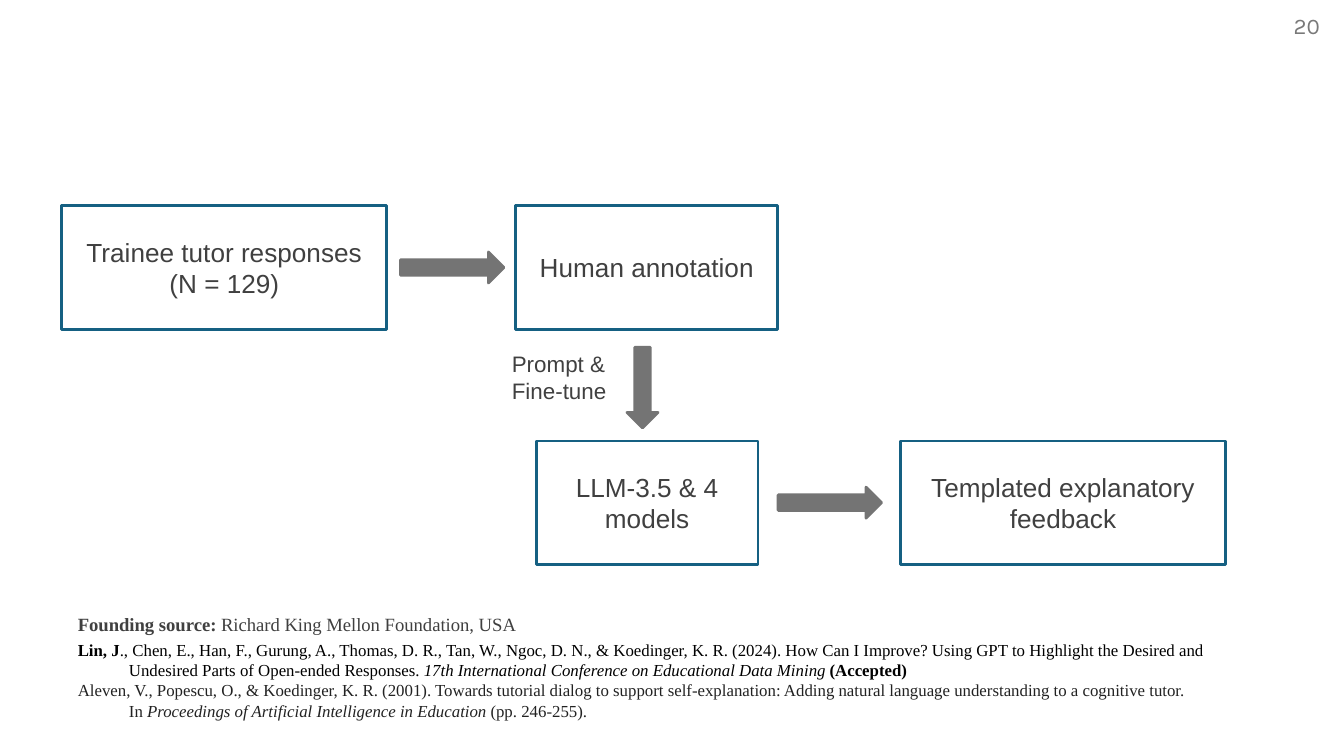
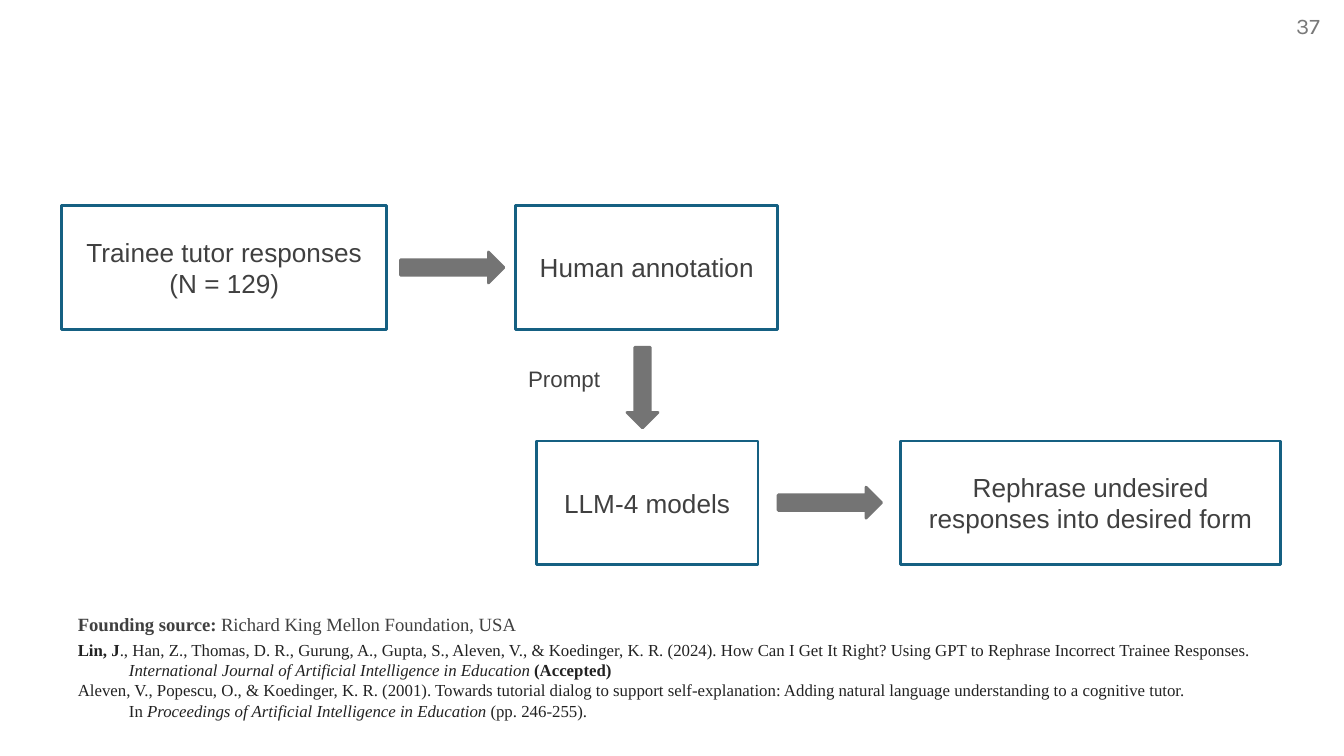
from dataclasses import dataclass
from typing import Any, Optional

import pptx
import pptx.dml.color
import pptx.enum.shapes
import pptx.enum.text
import pptx.util

Pt = pptx.util.Pt
RGBColor = pptx.dml.color.RGBColor
MSO_SHAPE = pptx.enum.shapes.MSO_SHAPE
MSO_ANCHOR = pptx.enum.text.MSO_ANCHOR
MSO_AUTO_SIZE = pptx.enum.text.MSO_AUTO_SIZE
PP_ALIGN = pptx.enum.text.PP_ALIGN

WHITE = RGBColor(0xFF, 0xFF, 0xFF)
BLACK = RGBColor(0x00, 0x00, 0x00)
INK = RGBColor(0x22, 0x22, 0x22)
DARK_GREY = RGBColor(0x40, 0x40, 0x40)
ARROW_GREY = RGBColor(0x74, 0x74, 0x74)
NUMBER_GREY = RGBColor(0x79, 0x79, 0x79)
BORDER_BLUE = RGBColor(0x15, 0x60, 0x82)

SANS = "Arial"
SERIF = "Times New Roman"
NUMBER_FONT = "Karla"
NO_BREAK_SPACE = chr(160)

TOP_ROW = 110.2
BOTTOM_ROW = 236.2
BOX_HEIGHT = 66.2
ARROW_HEIGHT = 16.6
LINE_WIDTH = 1.5
FOOTER_LEFT = 34.6


@dataclass(frozen=True)
class Run:
    text: str
    bold: bool = False
    italic: bool = False
    color: Optional[RGBColor] = None


Lines = list[list[Run]]


@dataclass(frozen=True)
class Area:
    left: float
    top: float
    width: float
    height: float

    def lengths(self) -> tuple[Any, ...]:
        return Pt(self.left), Pt(self.top), Pt(self.width), Pt(self.height)


@dataclass(frozen=True)
class Box:
    lines: list[str]
    left: float
    row: float
    width: float


@dataclass(frozen=True)
class Arrow:
    left: float
    middle: float
    width: float
    rotation: float = 0


@dataclass(frozen=True)
class FlowSlide:
    number: int
    step: list[str]
    step_area: Area
    model: str
    result: str
    result_width: float
    paper: list[Run]


ARROWS = [
    Arrow(214.6, TOP_ROW + BOX_HEIGHT / 2, 55.4),
    Arrow(322.6, 207.7, 43.2, rotation=90),
    Arrow(416.9, BOTTOM_ROW + BOX_HEIGHT / 2, 55.4),
]

FUNDING = [
    Run("Founding source: ", bold=True),
    Run("Richard King Mellon Foundation, USA"),
]

TUTORIAL_DIALOG_PAPER = [
    Run(
        "Aleven, V., Popescu, O., & Koedinger, K. R. (2001). Towards tutorial dialog to "
        "support self-explanation: Adding natural language understanding to a cognitive "
        f"tutor. In{NO_BREAK_SPACE}"
    ),
    Run("Proceedings of Artificial Intelligence in Education", italic=True),
    Run(f"{NO_BREAK_SPACE}(pp. 246-255)."),
]

SLIDES = [
    FlowSlide(
        number=20,
        step=["Prompt &", "Fine-tune"],
        step_area=Area(267.1, 184.3, 68.4, 36),
        model="LLM-3.5 & 4 models",
        result="Templated explanatory feedback",
        result_width=174.2,
        paper=[
            Run("Lin, J", bold=True, color=BLACK),
            Run(
                "., Chen, E., Han, F., Gurung, A., Thomas, D. R., Tan, W., Ngoc, D. N., & "
                "Koedinger, K. R. (2024). How Can I Improve? Using GPT to Highlight the "
                "Desired and Undesired Parts of Open-ended Responses. ",
                color=BLACK,
            ),
            Run(
                "17th International Conference on Educational Data Mining ",
                italic=True,
                color=BLACK,
            ),
            Run("(Accepted)", bold=True, color=BLACK),
        ],
    ),
    FlowSlide(
        number=37,
        step=["Prompt"],
        step_area=Area(275.8, 192.2, 53.3, 21.6),
        model="LLM-4 models",
        result="Rephrase undesired responses into desired form",
        result_width=203.8,
        paper=[
            Run("Lin, J", bold=True),
            Run(
                "., Han, Z., Thomas, D. R., Gurung, A., Gupta, S., Aleven, V., & "
                "Koedinger, K. R. (2024). How Can I Get It Right? Using GPT to Rephrase "
                "Incorrect Trainee Responses. "
            ),
            Run(
                "International Journal of Artificial Intelligence in Education ",
                italic=True,
            ),
            Run("(Accepted)", bold=True),
        ],
    ),
]


def plain(lines: list[str]) -> Lines:
    return [[Run(line)] for line in lines]


def write_text(
    shape: Any,
    lines: Lines,
    *,
    size: float,
    font: str = SANS,
    color: RGBColor = DARK_GREY,
    align: Any = PP_ALIGN.LEFT,
    anchor: Any = MSO_ANCHOR.TOP,
    wrap: bool = True,
    grow: bool = False,
    line_spacing: Optional[float] = None,
    margin: float = 0,
    indent: float = 0,
) -> None:
    """Fill a shape with one paragraph per line; a run's own colour wins over color."""
    frame = shape.text_frame
    frame.word_wrap = wrap
    frame.vertical_anchor = anchor
    frame.auto_size = MSO_AUTO_SIZE.SHAPE_TO_FIT_TEXT if grow else MSO_AUTO_SIZE.NONE
    for index, line in enumerate(lines):
        paragraph = frame.add_paragraph() if index else frame.paragraphs[0]
        paragraph.alignment = align
        if line_spacing:
            paragraph.line_spacing = line_spacing
        if margin:
            properties = paragraph._p.get_or_add_pPr()
            properties.set("marL", str(Pt(margin)))
            properties.set("indent", str(Pt(indent)))
        for part in line:
            run = paragraph.add_run()
            run.text = part.text
            run.font.name = font
            run.font.size = Pt(size)
            run.font.bold = part.bold
            run.font.italic = part.italic
            run.font.color.rgb = part.color or color


def add_text(slide: Any, area: Area, lines: Lines, **text_format: Any) -> None:
    write_text(slide.shapes.add_textbox(*area.lengths()), lines, **text_format)


def add_outlined_shape(
    slide: Any, kind: Any, area: Area, fill: RGBColor, line: RGBColor
) -> Any:
    shape = slide.shapes.add_shape(kind, *area.lengths())
    shape.shadow.inherit = False
    shape.fill.solid()
    shape.fill.fore_color.rgb = fill
    shape.line.color.rgb = line
    shape.line.width = Pt(LINE_WIDTH)
    return shape


def add_box(slide: Any, box: Box) -> None:
    area = Area(box.left, box.row, box.width, BOX_HEIGHT)
    shape = add_outlined_shape(slide, MSO_SHAPE.RECTANGLE, area, WHITE, BORDER_BLUE)
    write_text(
        shape,
        plain(box.lines),
        size=14,
        align=PP_ALIGN.CENTER,
        anchor=MSO_ANCHOR.MIDDLE,
    )


def add_arrow(slide: Any, arrow: Arrow) -> None:
    area = Area(arrow.left, arrow.middle - ARROW_HEIGHT / 2, arrow.width, ARROW_HEIGHT)
    shape = add_outlined_shape(
        slide, MSO_SHAPE.RIGHT_ARROW, area, ARROW_GREY, ARROW_GREY
    )
    shape.rotation = arrow.rotation


def add_footer(slide: Any, paper: list[Run]) -> None:
    add_text(
        slide,
        Area(FOOTER_LEFT, 339.1, 643, 51.1),
        [paper, TUTORIAL_DIALOG_PAPER],
        size=9,
        font=SERIF,
        color=INK,
        grow=True,
        margin=27.4,
        indent=-36,
    )
    add_text(
        slide,
        Area(FOOTER_LEFT, 319, 360, 23),
        [FUNDING],
        size=10,
        font=SERIF,
        grow=True,
        line_spacing=1.5,
    )


def add_flow_slide(presentation: Any, content: FlowSlide) -> None:
    slide = presentation.slides.add_slide(presentation.slide_layouts[6])
    slide.background.fill.solid()
    slide.background.fill.fore_color.rgb = WHITE
    add_text(
        slide,
        Area(552.2, 2.9, 162, 21.6),
        plain([str(content.number)]),
        size=12,
        font=NUMBER_FONT,
        color=NUMBER_GREY,
        align=PP_ALIGN.RIGHT,
        anchor=MSO_ANCHOR.MIDDLE,
    )
    boxes = [
        Box(["Trainee tutor responses", "(N = 129)"], 33.1, TOP_ROW, 174.2),
        Box(["Human annotation"], 276.3, TOP_ROW, 140.4),
        Box([content.model], 287.3, BOTTOM_ROW, 118.8),
        Box([content.result], 482.4, BOTTOM_ROW, content.result_width),
    ]
    for box in boxes:
        add_box(slide, box)
    for arrow in ARROWS:
        add_arrow(slide, arrow)
    add_text(
        slide, content.step_area, plain(content.step), size=12, wrap=False, grow=True
    )
    add_footer(slide, content.paper)


def main() -> None:
    presentation = pptx.Presentation()
    presentation.slide_width = Pt(720)
    presentation.slide_height = Pt(405)
    for content in SLIDES:
        add_flow_slide(presentation, content)
    presentation.save("out.pptx")


if __name__ == "__main__":
    main()
